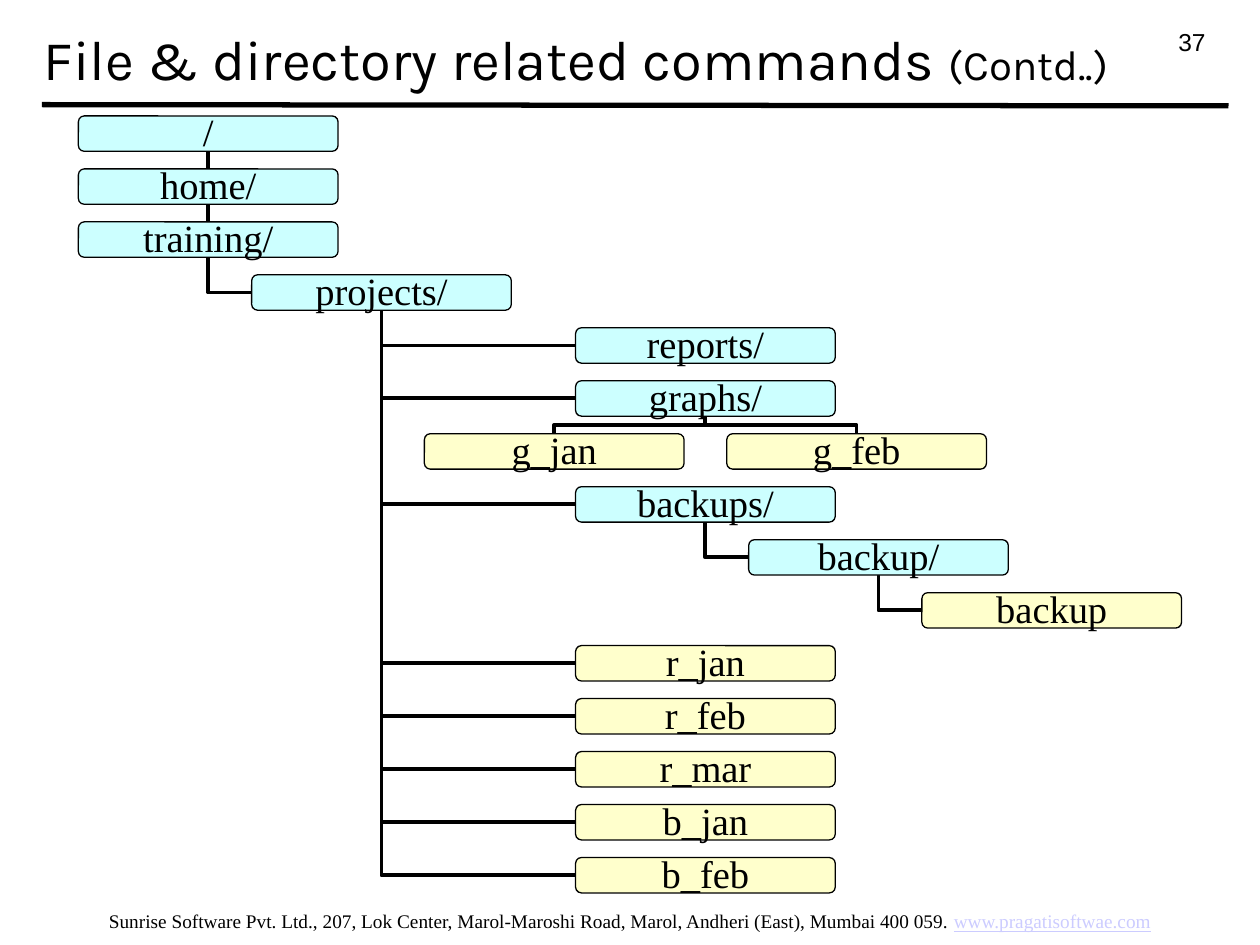
from dataclasses import dataclass

from lxml import etree
from pptx import Presentation
from pptx.dml.color import RGBColor
from pptx.enum.shapes import MSO_CONNECTOR, MSO_SHAPE
from pptx.enum.text import MSO_ANCHOR, PP_ALIGN
from pptx.oxml.ns import qn
from pptx.util import Pt

STRAIGHT, ELBOW = MSO_CONNECTOR.STRAIGHT, MSO_CONNECTOR.ELBOW
ROUNDED = MSO_SHAPE.ROUNDED_RECTANGLE
LEFT, CENTER, RIGHT = PP_ALIGN.LEFT, PP_ALIGN.CENTER, PP_ALIGN.RIGHT
TOP, MIDDLE = MSO_ANCHOR.TOP, MSO_ANCHOR.MIDDLE
TOP_SITE, LEFT_SITE, BOTTOM_SITE = 0, 1, 2

BLACK = "000000"
DIRECTORY, FILE = "CCFFFF", "FFFFCC"
SERIF = "Times New Roman"
FIRST_ROW, ROW_PITCH = 66.24, 30.27
BOX_WIDTH, BOX_HEIGHT = 148.4, 20.2
ROOT, PROJECTS, CONTENT, BACKUP, BACKUP_FILE = 44.8, 143.8, 328.9, 427.8, 526.8
GRAPH_LEFT, GRAPH_RIGHT = 242.5, 415.3


@dataclass
class Node:
    name: str
    column: float
    row: int
    parent: str = ""
    route: str = "elbow"

    @property
    def fill(self) -> str:
        return DIRECTORY if self.name.endswith("/") else FILE


@dataclass
class Span:
    text: str
    size: float
    font: str
    color: str = BLACK
    underline: bool = False


NODES = [
    Node("/", ROOT, 0),
    Node("home/", ROOT, 1, "/", "straight"),
    Node("training/", ROOT, 2, "home/", "straight"),
    Node("projects/", PROJECTS, 3, "training/"),
    Node("reports/", CONTENT, 4, "projects/"),
    Node("graphs/", CONTENT, 5, "projects/"),
    Node("backups/", CONTENT, 7, "projects/"),
    Node("backup/", BACKUP, 8, "backups/"),
    Node("backup", BACKUP_FILE, 9, "backup/"),
    Node("g_jan", GRAPH_LEFT, 6, "graphs/", "fork"),
    Node("g_feb", GRAPH_RIGHT, 6, "graphs/", "fork"),
    *(Node(name, CONTENT, row, "projects/")
      for row, name in enumerate(["r_jan", "r_feb", "r_mar", "b_jan", "b_feb"], 10)),
]


def rgb(color: str) -> RGBColor:
    return RGBColor.from_string(color)


def write_spans(text_frame, spans: list[Span], alignment):
    paragraph = text_frame.paragraphs[0]
    paragraph.alignment = alignment
    for span in spans:
        run = paragraph.add_run()
        run.text = span.text
        run.font.name = span.font
        run.font.size = Pt(span.size)
        run.font.color.rgb = rgb(span.color)
        if span.underline:
            run.font.underline = True
    return paragraph


def add_text(slide, left: float, top: float, width: float, height: float,
             spans: list[Span], alignment, anchor=TOP):
    text_box = slide.shapes.add_textbox(Pt(left), Pt(top), Pt(width), Pt(height))
    text_frame = text_box.text_frame
    text_frame.word_wrap = True
    text_frame.vertical_anchor = anchor
    return write_spans(text_frame, spans, alignment)


def style_line(connector, width: float) -> None:
    connector.line.color.rgb = rgb(BLACK)
    connector.line.width = Pt(width)
    etree.SubElement(connector.element.spPr, qn("a:effectLst"))


def add_box(slide, node: Node):
    box = slide.shapes.add_shape(
        ROUNDED, Pt(node.column), Pt(FIRST_ROW + node.row * ROW_PITCH),
        Pt(BOX_WIDTH), Pt(BOX_HEIGHT))
    box.shadow.inherit = False
    box.fill.solid()
    box.fill.fore_color.rgb = rgb(node.fill)
    box.line.color.rgb = rgb(BLACK)
    box.line.width = Pt(0.75)
    text_frame = box.text_frame
    text_frame.margin_left = text_frame.margin_right = 0
    text_frame.margin_top = text_frame.margin_bottom = 0
    text_frame.word_wrap = False
    text_frame.vertical_anchor = MIDDLE
    paragraph = write_spans(text_frame, [Span(node.name, 22, SERIF)], CENTER)
    paragraph.line_spacing = 0.95
    return box


def turn_fork(connector, child, parent) -> None:
    """Rotate a three-part elbow so that it leaves the child upwards."""
    center_x = (connector.begin_x + connector.end_x) // 2
    center_y = (connector.begin_y + connector.end_y) // 2
    rise, run = connector.height, connector.width
    connector.left, connector.top = center_x - rise // 2, center_y - run // 2
    connector.width, connector.height = rise, run
    transform = connector.element.spPr.find(qn("a:xfrm"))
    for flip in ("flipH", "flipV"):
        transform.attrib.pop(flip, None)
    if child.left > parent.left:
        transform.set("rot", "5400000")
        transform.set("flipH", "1")
    else:
        transform.set("rot", "16200000")


def add_link(slide, child, parent, route: str) -> None:
    kind = STRAIGHT if route == "straight" else ELBOW
    connector = slide.shapes.add_connector(kind, 0, 0, 0, 0)
    connector.begin_connect(child, LEFT_SITE if route == "elbow" else TOP_SITE)
    connector.end_connect(parent, BOTTOM_SITE)
    if route == "elbow":
        geometry = connector.element.spPr.find(qn("a:prstGeom"))
        geometry.set("prst", "bentConnector2")
        transform = connector.element.spPr.find(qn("a:xfrm"))
        for flip in ("flipH", "flipV"):
            transform.attrib.pop(flip, None)
        transform.set("rot", "10800000")
    elif route == "fork":
        turn_fork(connector, child, parent)
    style_line(connector, 2.25)


def add_tree(slide) -> None:
    boxes = {node.name: add_box(slide, node) for node in NODES}
    for node in reversed(NODES):
        if node.parent:
            add_link(slide, boxes[node.name], boxes[node.parent], node.route)
    for box in boxes.values():  # boxes go in front of the lines
        box.element.getparent().append(box.element)


def main() -> None:
    presentation = Presentation()
    presentation.slide_width, presentation.slide_height = Pt(720), Pt(540)
    slide = presentation.slides.add_slide(presentation.slide_layouts[6])

    rule = slide.shapes.add_connector(STRAIGHT, Pt(24), Pt(59.8), Pt(702), Pt(60.5))
    style_line(rule, 3)
    add_text(slide, 0, 516.2, 720, 20.9, [
        Span("Sunrise Software Pvt. Ltd., 207, Lok Center, Marol-Maroshi Road, Marol, "
             "Andheri (East), Mumbai 400 059. ", 11, SERIF),
        Span("www.pragatisoftwae.com", 11, SERIF, "CCCCFF", True),
    ], CENTER)
    add_text(slide, 528, 12, 168, 37.5, [Span("37", 14, "Arial")], RIGHT)
    title = add_text(slide, 18, 0, 684, 65.5, [
        Span("File & directory related commands ", 32, "Karla"),
        Span("(Contd..)", 24, "Karla"),
    ], LEFT, MIDDLE)
    title.line_spacing = 1.01
    add_tree(slide)
    presentation.save("out.pptx")


if __name__ == "__main__":
    main()
